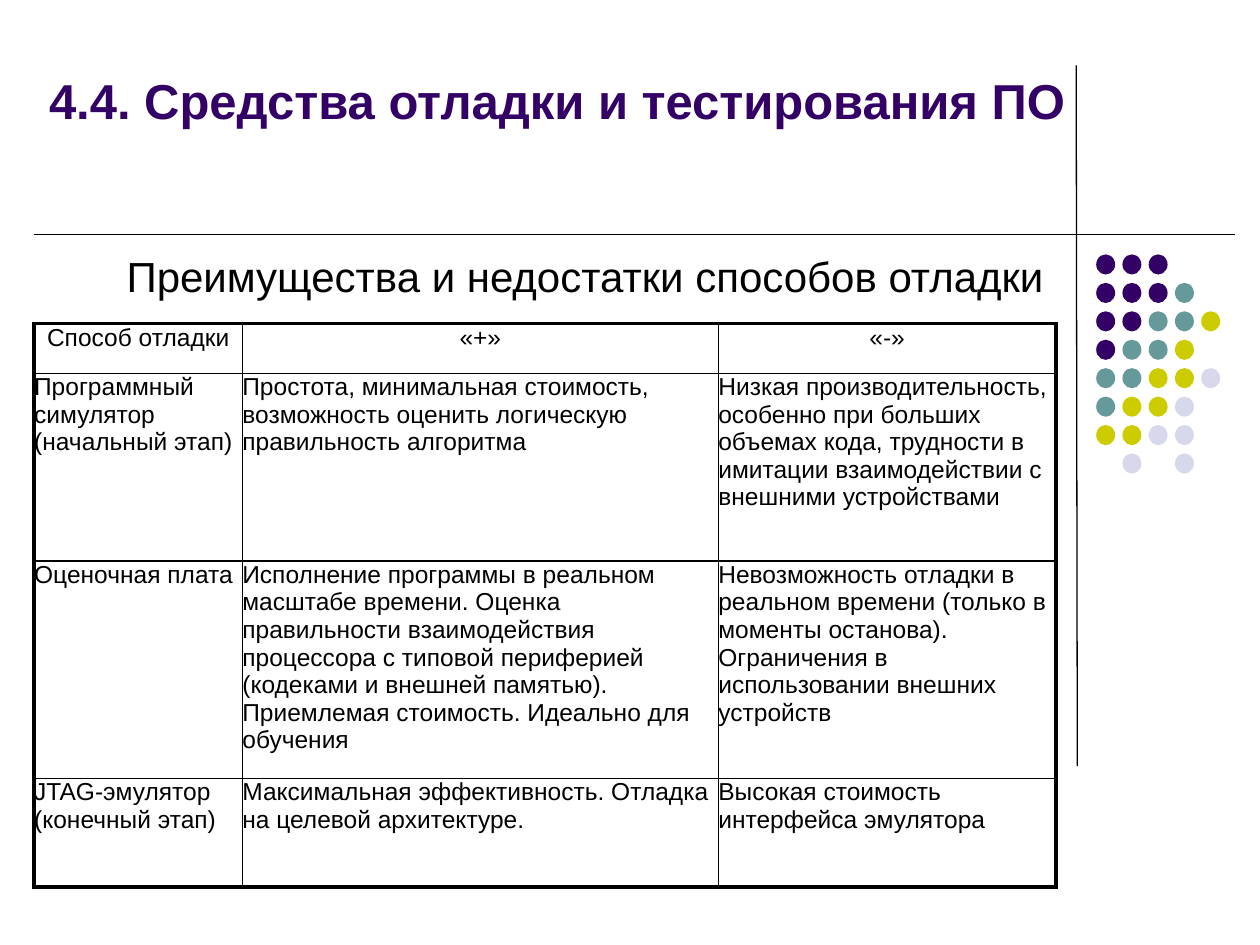
"""Build the slide on debugging methods: title, comparison table and dot pattern."""
import pptx
import pptx.util
import pptx.dml.color
import pptx.enum.shapes
import pptx.enum.text
import pptx.oxml
import pptx.oxml.ns

Pt = pptx.util.Pt
RGB = pptx.dml.color.RGBColor
ALIGN = pptx.enum.text.PP_ALIGN
SHAPE = pptx.enum.shapes.MSO_SHAPE
qn = pptx.oxml.ns.qn

BLACK = RGB(0x00, 0x00, 0x00)
PURPLE = RGB(0x33, 0x00, 0x66)
TEAL = RGB(0x66, 0x99, 0x99)
LIME = RGB(0xCC, 0xCC, 0x00)
PALE = RGB(0xD8, 0xD8, 0xEC)

TITLE = "4.4. Средства отладки и тестирования ПО"
SUB = "Преимущества и недостатки способов отладки"
ROWS = [
    ("Способ отладки", "«+»", "«-»"),
    ("Программный симулятор (начальный этап)",
     "Простота, минимальная стоимость, возможность оценить логическую "
     "правильность алгоритма",
     "Низкая производительность, особенно при больших объемах кода, "
     "трудности в имитации взаимодействии с внешними устройствами"),
    ("Оценочная плата",
     "Исполнение программы в реальном масштабе времени. Оценка правильности "
     "взаимодействия процессора с типовой периферией (кодеками и внешней "
     "памятью). Приемлемая стоимость. Идеально для обучения",
     "Невозможность отладки в реальном времени (только в моменты останова). "
     "Ограничения в использовании внешних устройств"),
    ("JTAG-эмулятор\n(конечный этап)",
     "Максимальная эффективность. Отладка на целевой архитектуре.",
     "Высокая стоимость интерфейса эмулятора"),
]
WIDTHS = (119, 272, 193)
HEIGHTS = (28.4, 107.3, 124.3, 61.9)
LEFT, TOP = 19.5, 185
LINES = [(615, 37.4, 615.6, 437.8), (LEFT, 133.9, 705.6, 133.9)]
DOTS = ["PPP", "PPPT", "PPTTL", "PTTL", "TTLLW", "TLLW", "LLWW", " W W"]
HUES = {"P": PURPLE, "T": TEAL, "L": LIME, "W": PALE}


def write(para, text, size, color=BLACK, bold=False):
    run = para.add_run()
    run.text = text
    font = run.font
    font.name, font.size, font.bold = "Arial", Pt(size), bold
    font.color.rgb = color


def label(box, text, size, color=BLACK, bold=False):
    frame = slide.shapes.add_textbox(*map(Pt, box)).text_frame
    frame.word_wrap = True
    para = frame.paragraphs[0]
    para.alignment = ALIGN.RIGHT
    write(para, text, size, color, bold)
    return para


def border(cell, sides):
    props = cell._tc.get_or_add_tcPr()
    for spot, (side, width) in enumerate(sides):
        line = pptx.oxml.parse_xml(
            f'<a:ln{side} {pptx.oxml.ns.nsdecls("a")} w="{int(Pt(width))}">'
            f'<a:solidFill><a:srgbClr val="{BLACK}"/></a:solidFill></a:ln{side}>')
        props.insert(spot, line)


deck = pptx.Presentation()
deck.slide_width, deck.slide_height = Pt(720), Pt(540)
slide = deck.slides.add_slide(deck.slide_layouts[6])

for ends in LINES:
    rule = slide.shapes.add_connector(
        pptx.enum.shapes.MSO_CONNECTOR.STRAIGHT, *map(Pt, ends))
    rule.line.color.rgb = BLACK
    rule.line.width = Pt(0.75)
    rule._element.spPr.append(pptx.oxml.parse_xml(
        f'<a:effectLst {pptx.oxml.ns.nsdecls("a")}/>'))

for r, marks in enumerate(DOTS):
    for c, mark in enumerate(marks):
        if mark in HUES:
            dot = slide.shapes.add_shape(
                SHAPE.OVAL, Pt(626.4 + 15 * c), Pt(145.4 + 16.25 * r),
                Pt(10.8), Pt(11.5))
            dot.shadow.inherit = False
            dot.fill.solid()
            dot.fill.fore_color.rgb = HUES[mark]
            dot.line.fill.background()

label((8.6, 36.7, 607, 91.4), TITLE, 28, PURPLE, True)
para = label((LEFT, 145.4, 584, 33.8), SUB, 24)
para.line_spacing = 0.8
para.space_before = Pt(4.8)
indent = para._p.get_or_add_pPr()
indent.set("marL", str(int(Pt(27))))
indent.set("indent", str(int(Pt(-27))))

grid = slide.shapes.add_table(
    len(HEIGHTS), len(WIDTHS), Pt(LEFT), Pt(TOP),
    Pt(sum(WIDTHS)), Pt(sum(HEIGHTS))).table
grid.first_row = grid.horz_banding = False
for col, width in zip(grid.columns, WIDTHS):
    col.width = Pt(width)
for row, height in zip(grid.rows, HEIGHTS):
    row.height = Pt(height)

endr, endc = len(HEIGHTS) - 1, len(WIDTHS) - 1
for r, texts in enumerate(ROWS):
    for c, text in enumerate(texts):
        cell = grid.cell(r, c)
        cell.margin_left = cell.margin_right = 0
        cell.margin_top = cell.margin_bottom = 0
        cell.fill.background()
        outer = {"L": c == 0, "R": c == endc, "T": r == 0, "B": r == endr}
        border(cell, [(s, 2.25 if out else 1) for s, out in outer.items()])
        frame = cell.text_frame
        for n, part in enumerate(text.split("\n")):
            para = frame.add_paragraph() if n else frame.paragraphs[0]
            para.alignment = ALIGN.LEFT if r else ALIGN.CENTER
            write(para, part, 14)

deck.save("out.pptx")
